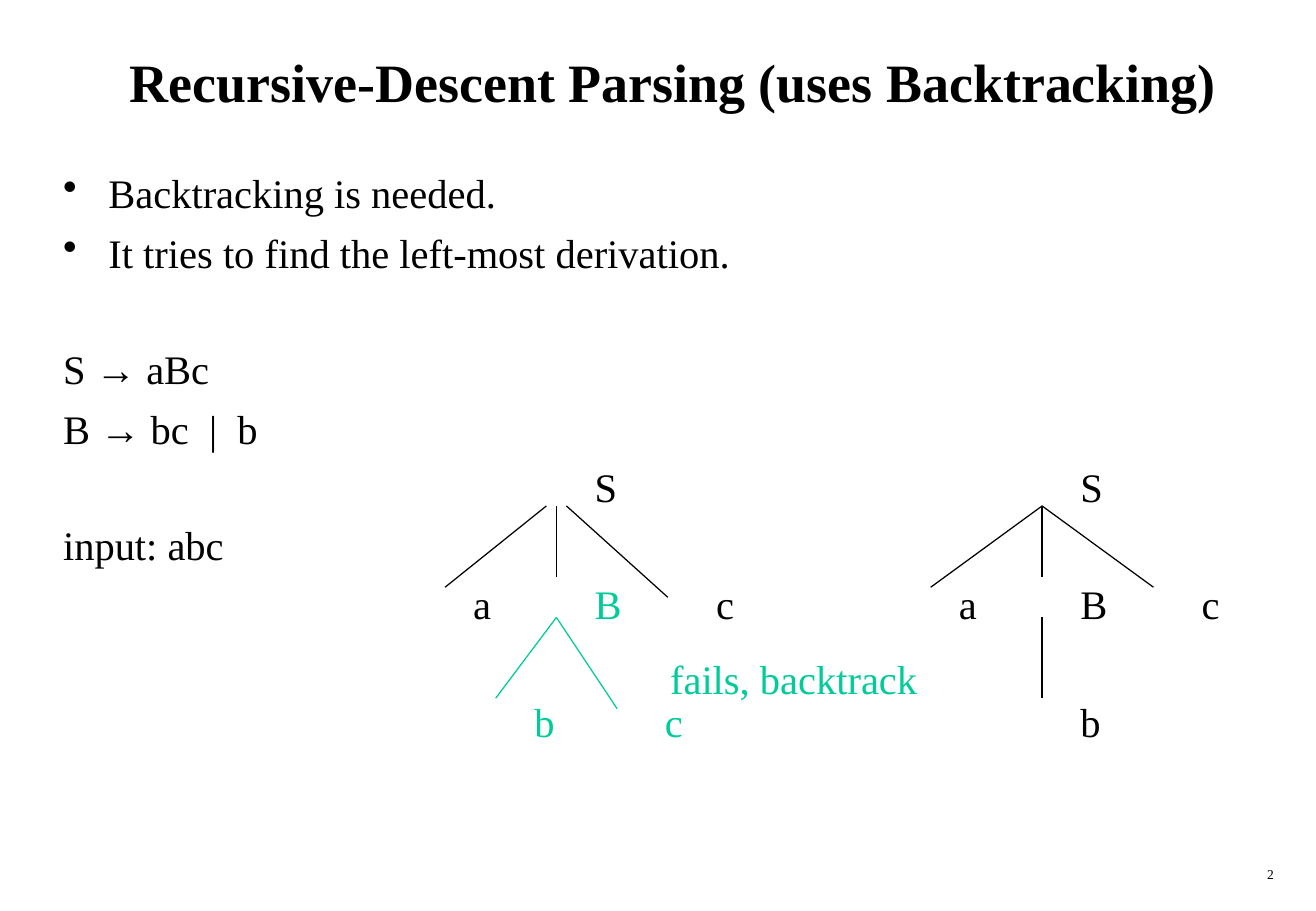
from lxml import etree
from pptx import Presentation
from pptx.dml.color import RGBColor
from pptx.enum.shapes import MSO_CONNECTOR
from pptx.enum.text import MSO_ANCHOR, MSO_AUTO_SIZE, PP_ALIGN
from pptx.oxml.ns import qn
from pptx.util import Cm, Pt

STRAIGHT = MSO_CONNECTOR.STRAIGHT
MIDDLE = MSO_ANCHOR.MIDDLE
NO_AUTOFIT = MSO_AUTO_SIZE.NONE
LEFT, CENTER, RIGHT = PP_ALIGN.LEFT, PP_ALIGN.CENTER, PP_ALIGN.RIGHT

BLACK = RGBColor(0x00, 0x00, 0x00)
GREEN = RGBColor(0x00, 0xCC, 0x99)
SERIF, ARROW_FONT = "Times New Roman", "Arial"
ARROW = "→"

# All lengths below are in centimetres.
MARGIN = 1.07
FIRST_ROW, ROW_STEP = 3.38, 1.23
ROW_HEIGHT = 1.23
BULLET_INDENT = 0.95
INSET = 0.25
LABEL_SHIFT, COLUMN_STEP = 0.8, 2.54
FAILED_SPINE, PARSED_SPINE = 11.64, 21.8
ROOT_ROW, CHILD_ROW, LEAF_ROW = 5, 7, 9
ROOT_BOTTOM, CHILD_TOP, CHILD_BOTTOM, LEAF_TOP = 10.58, 12.07, 12.91, 14.6


def row_top(row):
    return FIRST_ROW + row * ROW_STEP


def style(paragraph, size=24, color=BLACK, align=LEFT, bold=False):
    paragraph.alignment = align
    font = paragraph.font
    font.name, font.size, font.bold = SERIF, Pt(size), bold
    font.color.rgb = color


def add_bullet(paragraph):
    properties = paragraph._p.get_or_add_pPr()
    properties.set("marL", str(Cm(BULLET_INDENT)))
    properties.set("indent", str(-Cm(BULLET_INDENT)))
    etree.SubElement(properties, qn("a:buChar")).set("char", "•")


def write_line(paragraph, line):
    """Write the line as runs, with each arrow in its own font."""
    before, arrow, after = line.partition(ARROW)
    paragraph.add_run().text = before
    if arrow:
        arrow_run = paragraph.add_run()
        arrow_run.text = arrow
        arrow_run.font.name = ARROW_FONT
        paragraph.add_run().text = after


def add_text(slide, left, top, width, lines, bulleted=False, **look):
    box = slide.shapes.add_textbox(Cm(left), Cm(top), Cm(width),
                                   Cm(ROW_HEIGHT * len(lines)))
    frame = box.text_frame
    frame.word_wrap = True
    for index, line in enumerate(lines):
        paragraph = frame.add_paragraph() if index else frame.paragraphs[0]
        if bulleted:
            add_bullet(paragraph)
        if index:
            paragraph.space_before = Pt(7)
        write_line(paragraph, line)
        style(paragraph, **look)


def add_node(slide, symbol, left, row, color=BLACK):
    """Place a tree symbol so that its glyph starts at left."""
    add_text(slide, left - INSET, row_top(row), 1.2, [symbol], color=color)


def add_branch(slide, x1, y1, x2, y2, color=BLACK):
    branch = slide.shapes.add_connector(STRAIGHT, Cm(x1), Cm(y1), Cm(x2), Cm(y2))
    branch.line.color.rgb = color
    branch.line.width = Pt(0.75)
    etree.SubElement(branch._element.spPr, qn("a:effectLst"))


def add_top_of_tree(slide, spine, left_branch, right_branch, b_color):
    """Draw S over a, B, c; a branch is (start dx, end dx, end y)."""
    label_left = spine + LABEL_SHIFT
    add_node(slide, "S", label_left, ROOT_ROW)
    for column, symbol in enumerate("aBc", start=-1):
        color = b_color if symbol == "B" else BLACK
        add_node(slide, symbol, label_left + column * COLUMN_STEP, CHILD_ROW, color)
    for start, end, bottom in (left_branch, (0, 0, CHILD_TOP), right_branch):
        add_branch(slide, spine + start, ROOT_BOTTOM, spine + end, bottom)


def add_failed_tree(slide):
    add_top_of_tree(slide, FAILED_SPINE, (-0.21, -2.33, 12.28),
                    (0.21, 2.33, 12.49), GREEN)
    for symbol, end, bottom, label_left in (("b", -1.27, LEAF_TOP, 11.18),
                                            ("c", 1.27, 14.82, 13.91)):
        add_branch(slide, FAILED_SPINE, CHILD_BOTTOM,
                   FAILED_SPINE + end, bottom, GREEN)
        add_node(slide, symbol, label_left, LEAF_ROW, GREEN)
    add_text(slide, 13.77, 13.55, 5.7, ["fails, backtrack"], color=GREEN)


def add_parsed_tree(slide):
    add_top_of_tree(slide, PARSED_SPINE, (0, -2.33, 12.28),
                    (0, 2.33, 12.28), BLACK)
    add_branch(slide, PARSED_SPINE, CHILD_BOTTOM, PARSED_SPINE, LEAF_TOP)
    add_node(slide, "b", PARSED_SPINE + LABEL_SHIFT, LEAF_ROW)


def set_title(slide, wording):
    title = slide.shapes.title
    title.left, title.top = Cm(MARGIN), Cm(0.43)
    title.width, title.height = Cm(26.04), Cm(2.54)
    frame = title.text_frame
    frame.text = wording
    frame.auto_size = NO_AUTOFIT
    frame.vertical_anchor = MIDDLE
    style(frame.paragraphs[0], size=32, align=CENTER, bold=True)


def main():
    deck = Presentation()
    deck.slide_width, deck.slide_height = Cm(27.53), Cm(19.05)
    slide = deck.slides.add_slide(deck.slide_layouts[5])

    set_title(slide, "Recursive-Descent Parsing (uses Backtracking)")
    add_text(slide, MARGIN, row_top(0), 26.04,
             ["Backtracking is needed.",
              "It tries to find the left-most derivation."], bulleted=True)
    add_text(slide, MARGIN, row_top(3), 7, ["S → aBc", "B → bc  |  b"])
    add_text(slide, MARGIN, row_top(6), 7, ["input: abc"])
    add_failed_tree(slide)
    add_parsed_tree(slide)
    add_text(slide, 21.16, 17.98, 5.74, ["2"], size=8, align=RIGHT)

    deck.save("out.pptx")


if __name__ == "__main__":
    main()
